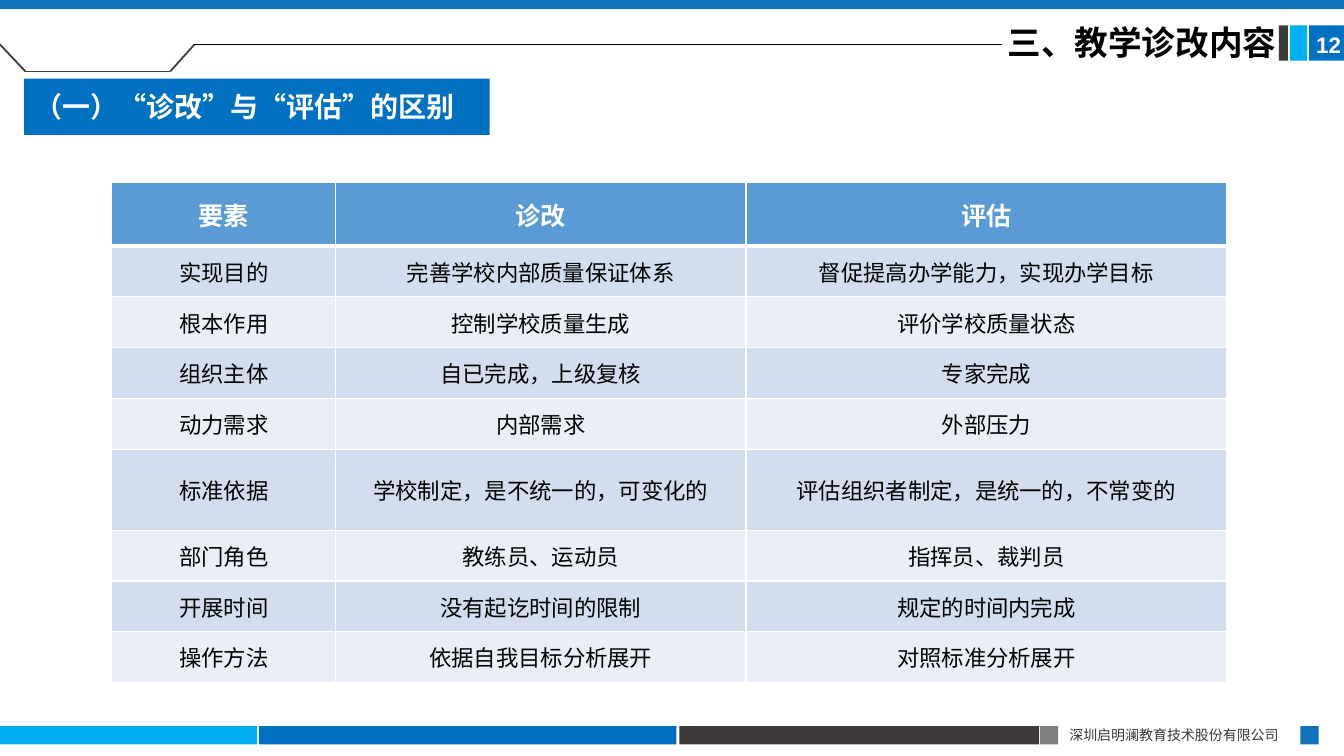
import pptx
import pptx.util
import pptx.oxml
import pptx.oxml.ns
from pptx.dml.color import RGBColor
from pptx.enum.lang import MSO_LANGUAGE_ID
from pptx.enum.shapes import MSO_CONNECTOR, MSO_SHAPE
from pptx.enum.text import MSO_ANCHOR, MSO_AUTO_SIZE, PP_ALIGN
from pptx.util import Cm, Pt

BLACK = RGBColor(0x00, 0x00, 0x00)
WHITE = RGBColor(0xFF, 0xFF, 0xFF)
BLUE = RGBColor(0x00, 0x70, 0xC0)
STEEL = RGBColor(0x10, 0x74, 0xBB)
CYAN = RGBColor(0x00, 0xB0, 0xF0)
DARK = RGBColor(0x3E, 0x3A, 0x39)
GRAY = RGBColor(0x80, 0x80, 0x80)
HEADER = RGBColor(0x5B, 0x9B, 0xD5)
BANDS = (RGBColor(0xD2, 0xDE, 0xEF), RGBColor(0xEA, 0xEF, 0xF7))
CJK = "Noto Sans CJK SC"

COMPARISON = [
    ("要素", "诊改", "评估"),
    ("实现目的", "完善学校内部质量保证体系", "督促提高办学能力，实现办学目标"),
    ("根本作用", "控制学校质量生成", "评价学校质量状态"),
    ("组织主体", "自已完成，上级复核", "专家完成"),
    ("动力需求", "内部需求", "外部压力"),
    ("标准依据", "学校制定，是不统一的，可变化的", "评估组织者制定，是统一的，不常变的"),
    ("部门角色", "教练员、运动员", "指挥员、裁判员"),
    ("开展时间", "没有起讫时间的限制", "规定的时间内完成"),
    ("操作方法", "依据自我目标分析展开", "对照标准分析展开"),
]
COLUMN_WIDTHS = (5.64, 10.34, 12.12)
ROW_HEIGHTS = (1.6,) + (1.28,) * 4 + (2.04,) + (1.28,) * 3


class Deck:
    """Holds the font style and the current slide."""

    def __init__(self, s, font):
        self.s = s
        self.font = font

    def paragraph(self, tf, text, size, color, align=PP_ALIGN.LEFT, bold=False, name=None):
        """Fill a text frame with one formatted paragraph."""
        p = tf.paragraphs[0]
        p.alignment = align
        r = p.add_run()
        r.text = text
        r.font.color.rgb = color
        style = {"size": Pt(size), "bold": bold, "name": name or self.font,
                 "language_id": MSO_LANGUAGE_ID.SIMPLIFIED_CHINESE}
        for key, value in style.items():
            setattr(r.font, key, value)
        latin = r.font._element.find(pptx.oxml.ns.qn("a:latin"))
        latin.addnext(pptx.oxml.parse_xml(
            f'<a:ea {pptx.oxml.ns.nsdecls("a")} typeface="{self.font}"/>'))
        return p

    def title(self, text, x, y, w, h):
        sp = self.s.shapes.title
        place = {"left": x, "top": y, "width": w, "height": h}
        for key, value in place.items():
            setattr(sp, key, Cm(value))
        tf = sp.text_frame
        frame = {"word_wrap": True, "auto_size": MSO_AUTO_SIZE.NONE,
                 "vertical_anchor": MSO_ANCHOR.TOP}
        for key, value in frame.items():
            setattr(tf, key, value)
        p = self.paragraph(tf, text, 24, BLACK, PP_ALIGN.CENTER, True)
        p.line_spacing = 0.9

    def bar(self, x, y, w, h, color):
        sp = self.s.shapes.add_shape(MSO_SHAPE.RECTANGLE, Cm(x), Cm(y), Cm(w), Cm(h))
        sp.shadow.inherit = False
        sp.fill.solid()
        sp.fill.fore_color.rgb = color
        sp.line.fill.background()
        return sp

    def banner(self, text, x, y, w, h):
        tf = self.bar(x, y, w, h, BLUE).text_frame
        tf.word_wrap = True
        tf.vertical_anchor = MSO_ANCHOR.MIDDLE
        self.paragraph(tf, text, 20, WHITE, bold=True, name="Calibri")

    def text(self, text, x, y, w, h, size, color, **style):
        tf = self.s.shapes.add_textbox(Cm(x), Cm(y), Cm(w), Cm(h)).text_frame
        tf.word_wrap = True
        self.paragraph(tf, text, size, color, **style)

    def line(self, start, end, color, width):
        points = [Cm(v) for v in start + end]
        c = self.s.shapes.add_connector(MSO_CONNECTOR.STRAIGHT, *points)
        c.line.color.rgb = color
        c.line.width = Pt(width)
        c._element.spPr.append(pptx.oxml.parse_xml(
            f'<a:effectLst {pptx.oxml.ns.nsdecls("a")}/>'))

    def borders(self, cell, top, bottom):
        """Draw white cell borders; top and bottom are widths in points."""
        widths = {"L": 1, "R": 1, "T": top, "B": bottom}
        for i, (side, width) in enumerate(widths.items()):
            cell._tc.get_or_add_tcPr().insert(i, pptx.oxml.parse_xml(
                f'<a:ln{side} {pptx.oxml.ns.nsdecls("a")} w="{Pt(width)}">'
                f'<a:solidFill><a:srgbClr val="{WHITE}"/></a:solidFill></a:ln{side}>'))

    def table(self, rows, x, y, widths, heights):
        table = self.s.shapes.add_table(
            len(rows), len(widths), Cm(x), Cm(y),
            Cm(sum(widths)), Cm(sum(heights))).table
        table.horz_banding = False
        for column, width in zip(table.columns, widths):
            column.width = Cm(width)
        layout = {"vertical_anchor": MSO_ANCHOR.MIDDLE,
                  "margin_left": Cm(0.18), "margin_right": Cm(0.18),
                  "margin_top": Cm(0.1), "margin_bottom": Cm(0.1)}
        for i, row in enumerate(rows):
            table.rows[i].height = Cm(heights[i])
            head = i == 0
            for j, text in enumerate(row):
                cell = table.cell(i, j)
                for key, value in layout.items():
                    setattr(cell, key, value)
                cell.fill.solid()
                cell.fill.fore_color.rgb = HEADER if head else BANDS[(i - 1) % 2]
                self.borders(cell, 3 if i == 1 else 1, 3 if head else 1)
                self.paragraph(cell.text_frame, text, 18 if head else 16,
                               WHITE if head else BLACK, PP_ALIGN.CENTER, head)


def main():
    prs = pptx.Presentation()
    prs.slide_width = Cm(33.87)
    prs.slide_height = Cm(19.05)
    deck = Deck(prs.slides.add_slide(prs.slide_layouts[5]), CJK)

    footer_bars = [(0, 6.48, CYAN), (6.53, 10.52, BLUE), (17.12, 9.07, DARK),
                   (26.21, 0.46, GRAY), (32.77, 0.46, STEEL)]
    for x, w, color in footer_bars:
        deck.bar(x, 18.3, w, 0.46, color)
    deck.text("深圳启明澜教育技术股份有限公司", 26.7, 18.19, 6.1, 0.69, 10, DARK,
              align=PP_ALIGN.JUSTIFY)

    deck.bar(0, 0, 33.87, 0.23, STEEL)
    for x, w, color in [(32.99, 0.88, BLUE), (32.51, 0.43, CYAN), (32.23, 0.23, DARK)]:
        deck.bar(x, 0.64, w, 0.89, color)
    deck.text("12", 32.92, 0.66, 1.27, 0.94, 16, WHITE, bold=True, name="Arial")

    notch = [(0, 1.12), (0.64, 1.8), (4.29, 1.8), (4.9, 1.12)]
    for start, end in zip(notch, notch[1:]):
        deck.line(start, end, DARK, 1.25)
    deck.line(notch[-1], (25.25, 1.12), BLACK, 0.5)

    deck.title("三、教学诊改内容", 24.1, 0.53, 9.35, 1.35)
    deck.banner("（一）“诊改”与“评估”的区别", 0.61, 1.98, 11.73, 1.42)
    deck.table(COMPARISON, 2.82, 4.6, COLUMN_WIDTHS, ROW_HEIGHTS)
    prs.save("out.pptx")


if __name__ == "__main__":
    main()
